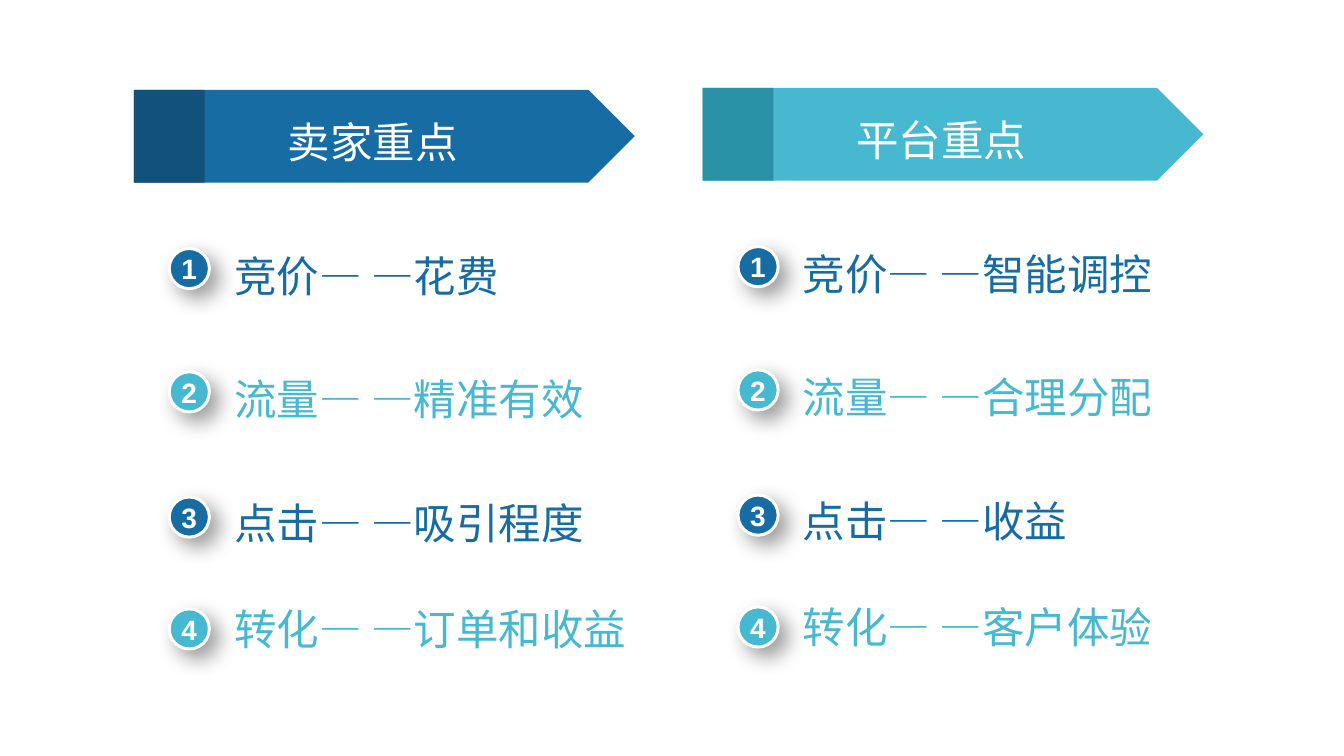
from pptx import Presentation
from pptx.dml.color import RGBColor
from pptx.enum.shapes import MSO_SHAPE as Shape
from pptx.enum.text import MSO_ANCHOR as Anchor, MSO_AUTO_SIZE as AutoSize, PP_ALIGN as Align
from pptx.oxml import parse_xml
from pptx.oxml.ns import nsdecls
from pptx.util import Inches, Pt

BLUE, CYAN = "166CA3", "46B9D0"
WHITE = "FFFFFF"
ROW_COLORS = [BLUE, CYAN, BLUE, CYAN]
BADGE_TOPS = [2.6, 3.89, 5.2, 6.37]
LABEL_TOPS = [2.61, 3.9, 5.2, 6.31]

COLUMNS = [
    (1.4, 0, "卖家重点", BLUE, "11517A", [
        ("竞价— —花费", 2.95),
        ("流量— —精准有效", 3.99),
        ("点击— —吸引程度", 3.99),
        ("转化— —订单和收益", 4.49),
    ]),
    (7.35, -0.02, "平台重点", CYAN, "2A92A6", [
        ("竞价— —智能调控", 3.99),
        ("流量— —合理分配", 3.99),
        ("点击— —收益", 3.99),
        ("转化— —客户体验", 4.49),
    ]),
]


def rgb(color):
    return RGBColor.from_string(color)


def add_block(shapes, kind, left, top, width, height, color):
    block = shapes.add_shape(kind, Inches(left), Inches(top), Inches(width), Inches(height))
    block.shadow.inherit = False
    block.fill.solid()
    block.fill.fore_color.rgb = rgb(color)
    block.line.fill.background()
    return block


def write(frame, text, size, color, align, bold=False):
    frame.vertical_anchor = Anchor.MIDDLE
    paragraph = frame.paragraphs[0]
    paragraph.text = text
    paragraph.alignment = align
    font = paragraph.font
    font.name, font.size, font.bold = "Arial", Pt(size), bold
    font.color.rgb = rgb(color)
    return paragraph


def clear_margins(frame):
    frame.margin_left = frame.margin_right = frame.margin_top = frame.margin_bottom = 0


def add_soft_shadow(block):
    effects = block._element.spPr.find("{*}effectLst")
    effects.append(parse_xml(
        f'<a:outerShdw {nsdecls("a")} blurRad="{Pt(16)}" dist="{Pt(9)}" dir="2700000"'
        ' algn="tl" rotWithShape="0"><a:srgbClr val="000000"><a:alpha val="40000"/>'
        '</a:srgbClr></a:outerShdw>'))


def add_badge(slide, left, top, number, color):
    badge = add_block(slide.shapes, Shape.OVAL, left, top, 0.42, 0.42, color)
    badge.line.color.rgb = rgb(WHITE)
    badge.line.width = Pt(2.25)
    add_soft_shadow(badge)
    clear_margins(badge.text_frame)
    write(badge.text_frame, str(number), 21.1, WHITE, Align.CENTER, bold=True)


def add_label(slide, left, top, width, text, color):
    label = slide.shapes.add_textbox(Inches(left), Inches(top), Inches(width), Inches(0.54))
    frame = label.text_frame
    frame.word_wrap = True
    frame.auto_size = AutoSize.SHAPE_TO_FIT_TEXT
    clear_margins(frame)
    write(frame, text, 32, color, Align.LEFT)


def add_banner(slide, left, top, title, color, dark):
    banner = slide.shapes.add_group_shape()
    arrow = add_block(banner.shapes, Shape.PENTAGON, left, top, 5.24, 0.97, color)
    write(arrow.text_frame, title, 32, WHITE, Align.CENTER).line_spacing = 1.2
    add_block(banner.shapes, Shape.RECTANGLE, left, top, 0.74, 0.97, dark)


def main():
    deck = Presentation()
    deck.slide_width, deck.slide_height = Inches(14.06), Inches(7.91)
    slide = deck.slides.add_slide(deck.slide_layouts[6])
    for left, shift, title, color, dark, points in COLUMNS:
        rows = zip(points, ROW_COLORS, BADGE_TOPS, LABEL_TOPS)
        for number, ((text, width), row_color, badge_top, label_top) in enumerate(rows, 1):
            add_badge(slide, left + 0.37, badge_top + shift, number, row_color)
            add_label(slide, left + 1.05, label_top + shift, width, text, row_color)
        add_banner(slide, left, 0.94 + shift, title, color, dark)
    deck.save("out.pptx")


if __name__ == "__main__":
    main()
